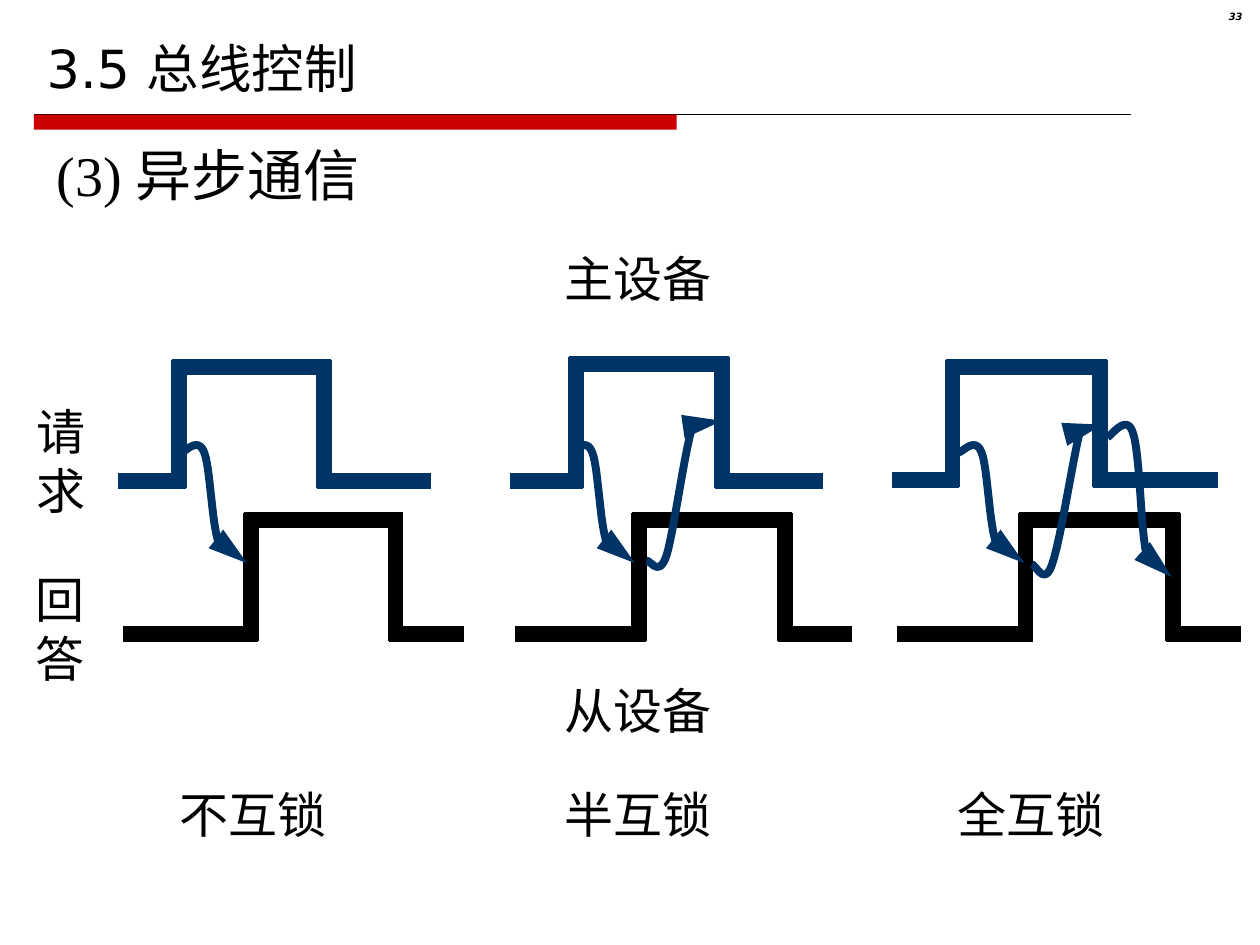
from dataclasses import dataclass

from lxml import etree
from pptx import Presentation
from pptx.dml.color import RGBColor
from pptx.enum.shapes import MSO_CONNECTOR, MSO_SHAPE
from pptx.enum.text import MSO_ANCHOR, MSO_AUTO_SIZE, PP_ALIGN
from pptx.oxml.ns import qn
from pptx.util import Inches, Pt

STRAIGHT = MSO_CONNECTOR.STRAIGHT
RECT = MSO_SHAPE.RECTANGLE
BOTTOM, TOP = MSO_ANCHOR.BOTTOM, MSO_ANCHOR.TOP
LEFT, RIGHT = PP_ALIGN.LEFT, PP_ALIGN.RIGHT
GROW, FIXED = MSO_AUTO_SIZE.SHAPE_TO_FIT_TEXT, MSO_AUTO_SIZE.NONE

BLACK = RGBColor(0x00, 0x00, 0x00)
NAVY = RGBColor(0x00, 0x33, 0x66)
RED = RGBColor(0xCC, 0x00, 0x00)
SANS, SERIF = "DejaVu Sans", "Times New Roman"

WIDTH, HEIGHT = Inches(10), Inches(7.5)
COLS, ROWS = 100, 75
JOINT = 0.55
CURVE_STEPS = 12

Point = tuple[float, float]


@dataclass
class Label:
    text: str
    left: float
    top: float
    width: float
    height: float
    size: float = 28
    wrap: bool = True


@dataclass
class Pulse:
    color: RGBColor
    start: float
    rise: float
    fall: float
    end: float
    high: float
    low: float


@dataclass
class Signal:
    points: list[Point]
    shift: float = 0


LABELS = [
    Label("不互锁", 13.3, 61.8, 20.8, 5.7),
    Label("半互锁", 43.8, 61.8, 23.7, 5.7),
    Label("全互锁", 75, 61.8, 20, 5.7),
    Label("主设备", 43.8, 19.2, 25.3, 5.7),
    Label("从设备", 43.8, 53.5, 29.5, 5.7),
    Label("请\n求", 1.9, 31.4, 5.9, 10.4, wrap=False),
    Label("回\n答", 1.8, 44.7, 5.9, 10.4, wrap=False),
    Label("(3) 异步通信", 3.5, 10.7, 51.7, 6.4, size=32),
]

PULSES = [
    Pulse(NAVY, 9.4, 14.2, 25.7, 34.2, 29.1, 38.2),
    Pulse(NAVY, 40.5, 45.7, 57.3, 65.3, 28.9, 38.2),
    Pulse(NAVY, 70.8, 75.6, 87.3, 96.7, 29.1, 38.1),
    Pulse(BLACK, 9.8, 19.9, 31.4, 36.8, 41.3, 50.3),
    Pulse(BLACK, 40.9, 50.7, 62.3, 67.6, 41.3, 50.3),
    Pulse(BLACK, 71.2, 81.4, 93.1, 98.5, 41.3, 50.3),
]

REQUEST = [(14.4, 35.9), (14.7, 35.9), (15.7, 34.6), (16.2, 35.9), (16.7, 37.1),
           (16.8, 41.8), (17.4, 43.2), (18, 44.7), (19.1, 44.4), (19.6, 44.7)]
HALF_REPLY = [(51.3, 44.5), (51.6, 44.4), (52.3, 45.9), (52.9, 44.1), (53.5, 42.2),
              (54.4, 35.2), (55.1, 33.4), (55.9, 31.7), (57, 33.4), (57.3, 33.4)]
FULL_REPLY = [(81.9, 44.8), (82.2, 44.8), (82.9, 46.6), (83.5, 44.8), (84.2, 42.9),
              (85.3, 35.4), (85.9, 33.5), (86.6, 31.7), (87.2, 33.6), (87.5, 33.7)]
RELEASE = [(87.9, 34.7), (88.2, 34.6), (89.4, 32.8), (89.9, 34.3), (90.5, 35.9),
           (90.5, 42.1), (91, 44), (91.5, 45.8), (92.7, 45.1), (93, 45.4),
           (93.3, 45.7), (93, 45.7), (93, 45.8)]

SIGNALS = [Signal(REQUEST), Signal(REQUEST, 30.8), Signal(REQUEST, 61.7),
           Signal(HALF_REPLY), Signal(FULL_REPLY), Signal(RELEASE)]


def col(n: float) -> int:
    return round(WIDTH * n / COLS)


def row(n: float) -> int:
    return round(HEIGHT * n / ROWS)


def place(s, left: float, top: float, width: float, height: float) -> None:
    s.left, s.top, s.width, s.height = col(left), row(top), col(width), row(height)


def write(s, text: str, frame: dict, font: dict, align=LEFT, spacing=None) -> None:
    tf = s.text_frame
    tf.text = text
    for name, value in frame.items():
        setattr(tf, name, value)
    for p in tf.paragraphs:
        p.alignment = align
        p.line_spacing = spacing
        for r in p.runs:
            r.font.color.rgb = BLACK
            for name, value in font.items():
                setattr(r.font, name, value)


def draw_label(slide, label: Label) -> None:
    s = slide.shapes.add_textbox(0, 0, 0, 0)
    write(s, label.text,
          {"word_wrap": label.wrap, "auto_size": GROW, "vertical_anchor": TOP},
          {"name": SERIF, "size": Pt(label.size)})
    place(s, label.left, label.top, label.width, label.height)


def draw_line(slide, start: Point, end: Point, color: RGBColor, weight: float) -> None:
    s = slide.shapes.add_connector(
        STRAIGHT, col(start[0]), row(start[1]), col(end[0]), row(end[1]))
    s.line.color.rgb = color
    s.line.width = Pt(weight)
    etree.SubElement(s.element.spPr, qn("a:effectLst"))


def draw_pulse(slide, pulse: Pulse) -> None:
    rise, fall, high, low = pulse.rise, pulse.fall, pulse.high, pulse.low
    edges = [
        ((pulse.start, low), (rise + JOINT, low)),
        ((rise, high - JOINT), (rise, low + JOINT)),
        ((rise - JOINT, high), (fall + JOINT, high)),
        ((fall, high - JOINT), (fall, low + JOINT)),
        ((fall - JOINT, low), (pulse.end, low)),
    ]
    for start, end in edges:
        draw_line(slide, start, end, pulse.color, 9)


def bezier(a: Point, b: Point, c: Point, d: Point, t: float) -> Point:
    u = 1 - t
    weights = (u ** 3, 3 * u * u * t, 3 * u * t * t, t ** 3)
    x, y = (sum(w * p[axis] for w, p in zip(weights, (a, b, c, d))) for axis in (0, 1))
    return x, y


def draw_signal(slide, signal: Signal) -> None:
    pts = [(x + signal.shift, y) for x, y in signal.points]
    curve = [bezier(*pts[i:i + 4], step / CURVE_STEPS)
             for i in range(0, len(pts) - 1, 3)
             for step in range(1, CURVE_STEPS + 1)]
    builder = slide.shapes.build_freeform(col(pts[0][0]), row(pts[0][1]))
    builder.add_line_segments([(col(x), row(y)) for x, y in curve], close=False)
    s = builder.convert_to_shape()
    s.shadow.inherit = False
    s.fill.background()
    s.line.color.rgb = NAVY
    s.line.width = Pt(4.5)
    etree.SubElement(s.line._get_or_add_ln(), qn("a:tailEnd"),
                     type="triangle", w="med", len="lg")


def main() -> None:
    prs = Presentation()
    prs.slide_width, prs.slide_height = WIDTH, HEIGHT
    slide = prs.slides.add_slide(prs.slide_layouts[5])

    title = slide.shapes.title
    place(title, 2.7, 1.3, 94.5, 7.1)
    write(title, "3.5 总线控制",
          {"vertical_anchor": BOTTOM, "auto_size": FIXED, "word_wrap": True},
          {"name": SANS, "size": Pt(30)})

    draw_line(slide, (2.7, 9.1), (89.8, 9.1), BLACK, 0.75)
    bar = slide.shapes.add_shape(RECT, 0, 0, 0, 0)
    place(bar, 2.7, 9.1, 51, 1.2)
    bar.shadow.inherit = False
    bar.fill.solid()
    bar.fill.fore_color.rgb = RED
    bar.line.fill.background()

    number = slide.shapes.add_textbox(0, 0, 0, 0)
    place(number, 93.7, 0.5, 5.9, 2.3)
    write(number, "33", {"word_wrap": True, "vertical_anchor": TOP},
          {"name": SANS, "size": Pt(5.7), "bold": True, "italic": True}, RIGHT, 0.8)

    for label in LABELS:
        draw_label(slide, label)
    for pulse in PULSES:
        draw_pulse(slide, pulse)
    for signal in SIGNALS:
        draw_signal(slide, signal)

    prs.save("out.pptx")


if __name__ == "__main__":
    main()
